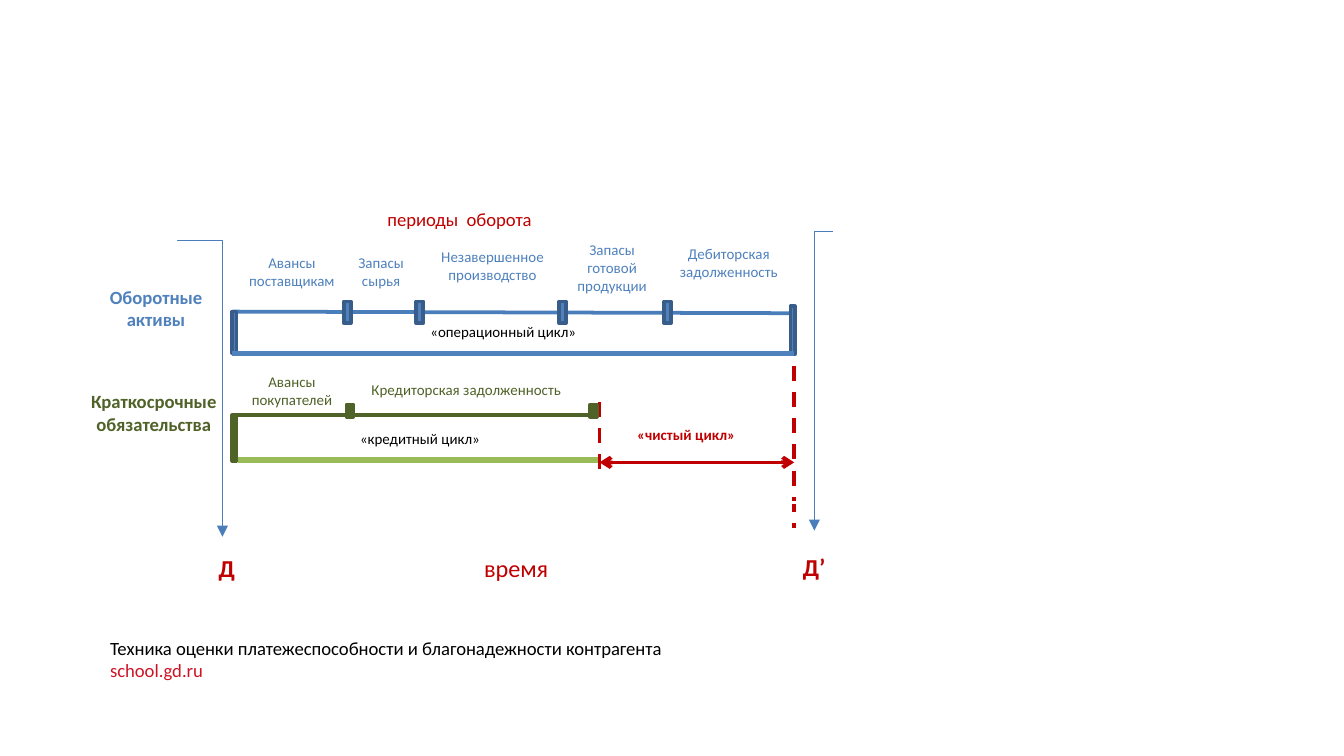
from lxml import etree
from pptx import Presentation
from pptx.dml.color import RGBColor
from pptx.enum.dml import MSO_LINE_DASH_STYLE as DASH
from pptx.enum.shapes import MSO_CONNECTOR as CONNECTOR, MSO_SHAPE as SHAPE
from pptx.enum.text import MSO_ANCHOR as ANCHOR, MSO_AUTO_SIZE as AUTO_SIZE, PP_ALIGN as ALIGN
from pptx.oxml.ns import qn
from pptx.util import Cm, Pt

BLUE = "4F81BD"
DARK_BLUE = "385D8A"
LINE_BLUE = "4A7EBB"
GREEN = "4F6228"
LIGHT_GREEN = "9BBB59"
RED = "C00000"
BRIGHT_RED = "CE1325"
BLACK = "000000"
WHITE = "FFFFFF"

CYCLE_START = 4.39
OPERATING_END = 15.01
CREDIT_END = 11.33
FINISH_AXIS = 15.39


def color(value):
    return RGBColor.from_string(value)


def add_label(slide, text, left, top, width, height, text_color, size=8,
              bold=False, align=ALIGN.CENTER, anchor=ANCHOR.MIDDLE):
    shape = slide.shapes.add_textbox(Cm(left), Cm(top), Cm(width), Cm(height))
    frame = shape.text_frame
    frame.text = text
    frame.word_wrap = True
    frame.vertical_anchor = anchor
    for paragraph in frame.paragraphs:
        paragraph.alignment = align
        for run in paragraph.runs:
            run.font.name = "Calibri"
            run.font.size = Pt(size)
            run.font.bold = bold
            run.font.color.rgb = color(text_color)
    return shape


def add_caption(slide, *args, **options):
    shape = add_label(slide, *args, anchor=ANCHOR.TOP, **options)
    shape.text_frame.auto_size = AUTO_SIZE.SHAPE_TO_FIT_TEXT
    return shape


def add_box(slide, left, top, width, height, line_color, fill_color=None, weight=2):
    shape = slide.shapes.add_shape(SHAPE.RECTANGLE, Cm(left), Cm(top), Cm(width), Cm(height))
    shape.shadow.inherit = False
    if fill_color:
        shape.fill.solid()
        shape.fill.fore_color.rgb = color(fill_color)
    else:
        shape.fill.background()
    shape.line.color.rgb = color(line_color)
    shape.line.width = Pt(weight)
    return shape


def add_line(slide, x1, y1, x2, y2, line_color, weight=2, dash=None,
             head=None, tail=None, kind=CONNECTOR.STRAIGHT):
    connector = slide.shapes.add_connector(kind, Cm(x1), Cm(y1), Cm(x2), Cm(y2))
    connector.line.color.rgb = color(line_color)
    connector.line.width = Pt(weight)
    if dash:
        connector.line.dash_style = dash
    properties = connector._element.spPr
    outline = properties.find(qn("a:ln"))
    for tag, arrow in (("a:headEnd", head), ("a:tailEnd", tail)):
        if arrow:
            etree.SubElement(outline, qn(tag), type=arrow)
    etree.SubElement(properties, qn("a:effectLst"))
    return connector


def add_start_axis(slide):
    connector = add_line(slide, 6.58, 6.93, 0.99, 7.77, LINE_BLUE, 0.75,
                         tail="triangle", kind=CONNECTOR.ELBOW)
    properties = connector._element.spPr
    properties.find(qn("a:xfrm")).set("rot", str(270 * 60000))
    geometry = properties.find(qn("a:prstGeom"))
    adjustments = geometry.find(qn("a:avLst"))
    if adjustments is None:
        adjustments = etree.SubElement(geometry, qn("a:avLst"))
    etree.SubElement(adjustments, qn("a:gd"), name="adj1", fmla="val -200")


def add_operating_cycle(slide):
    add_line(slide, CYCLE_START, 5.89, OPERATING_END, 5.92, LINE_BLUE)
    add_label(slide, "Оборотные активы", 1.68, 4.5, 2.54, 2.64, BLUE, 10, True)
    add_box(slide, CYCLE_START, 5.89, 0.08, 0.79, DARK_BLUE, BLUE)
    for left in (6.5, 7.87, 10.57, 12.55):
        add_box(slide, left, 5.7, 0.13, 0.41, DARK_BLUE, BLUE)
    add_box(slide, 14.94, 5.79, 0.08, 0.91, DARK_BLUE, BLUE)
    for text, left, top, width in (
        ("Авансы поставщикам", 4.39, 4.22, 2.26),
        ("Запасы сырья", 6.25, 4.22, 1.91),
        ("Незавершенное производство", 8, 4.11, 2.62),
        ("Запасы готовой продукции", 10.44, 4.14, 2.26),
        ("Дебиторская задолженность", 12.57, 4.04, 2.41),
    ):
        add_label(slide, text, left, top, width, 1.83, BLUE)
    add_line(slide, CYCLE_START, 6.68, OPERATING_END, 6.68, BLUE, 3)
    add_caption(slide, "«операционный цикл»", 5.64, 5.97, 7.75, 0.61, BLACK)


def add_credit_cycle(slide):
    add_line(slide, CYCLE_START, 7.85, 11.2, 7.85, GREEN)
    add_label(slide, "Краткосрочные обязательства", 1.42, 7.09, 2.97, 1.42, GREEN, 10, True)
    for left in (6.55, 11.15):
        add_box(slide, left, 7.65, 0.13, 0.23, GREEN, GREEN)
    add_label(slide, "Авансы покупателей", 4.39, 6.88, 2.26, 0.99, GREEN)
    add_label(slide, "Кредиторская задолженность", 6.68, 6.86, 4.27, 0.99, GREEN)
    add_box(slide, CYCLE_START, 7.85, 0.08, 0.86, GREEN, GREEN)
    add_line(slide, 4.5, 8.69, 11.3, 8.69, LIGHT_GREEN, 3)
    add_caption(slide, "«кредитный цикл»", 4.42, 8, 7.04, 0.61, BLACK)


def add_net_cycle(slide):
    for x, top, bottom in ((CREDIT_END, 7.59, 9.04), (OPERATING_END, 6.91, 9.98)):
        add_line(slide, x, top, x, bottom, RED, dash=DASH.DASH)
    add_line(slide, CREDIT_END, 8.74, OPERATING_END, 8.74, RED, head="arrow", tail="arrow")
    add_caption(slide, "«чистый цикл»", 11.79, 7.92, 2.49, 0.61, RED,
                bold=True, align=ALIGN.LEFT)


def add_time_axes(slide):
    add_caption(slide, "периоды  оборота", 3.48, 3.81, 10.41, 0.69, RED, size=10)
    add_start_axis(slide)
    add_caption(slide, "Д", 2.95, 10.34, 2.67, 0.81, RED, size=13, bold=True)
    add_caption(slide, "Д’", 13.18, 10.31, 2.67, 0.81, RED, size=13, bold=True,
                align=ALIGN.RIGHT)
    add_caption(slide, "время", 4.55, 10.34, 10.41, 0.81, RED, size=13)
    add_line(slide, FINISH_AXIS, 4.37, FINISH_AXIS, 10.03, LINE_BLUE, 0.75, tail="triangle")
    add_line(slide, FINISH_AXIS, 4.37, 15.75, 4.37, LINE_BLUE, 0.75)


def add_footer(slide):
    text = "Техника оценки платежеспособности и благонадежности контрагента\nschool.gd.ru"
    shape = add_caption(slide, text, 1.83, 11.91, 11, 1.12, BLACK, size=10, align=ALIGN.LEFT)
    shape.text_frame.word_wrap = False
    shape.text_frame.paragraphs[1].runs[0].font.color.rgb = color(BRIGHT_RED)


def main():
    presentation = Presentation()
    presentation.slide_width = Cm(25.4)
    presentation.slide_height = Cm(14.29)
    slide = presentation.slides.add_slide(presentation.slide_layouts[6])
    add_net_cycle(slide)
    frame = add_box(slide, 1.63, 3.68, 15.04, 5.82, WHITE, weight=1.5)
    frame.line.dash_style = DASH.SQUARE_DOT
    add_operating_cycle(slide)
    add_credit_cycle(slide)
    add_time_axes(slide)
    add_footer(slide)
    presentation.save("out.pptx")


if __name__ == "__main__":
    main()
